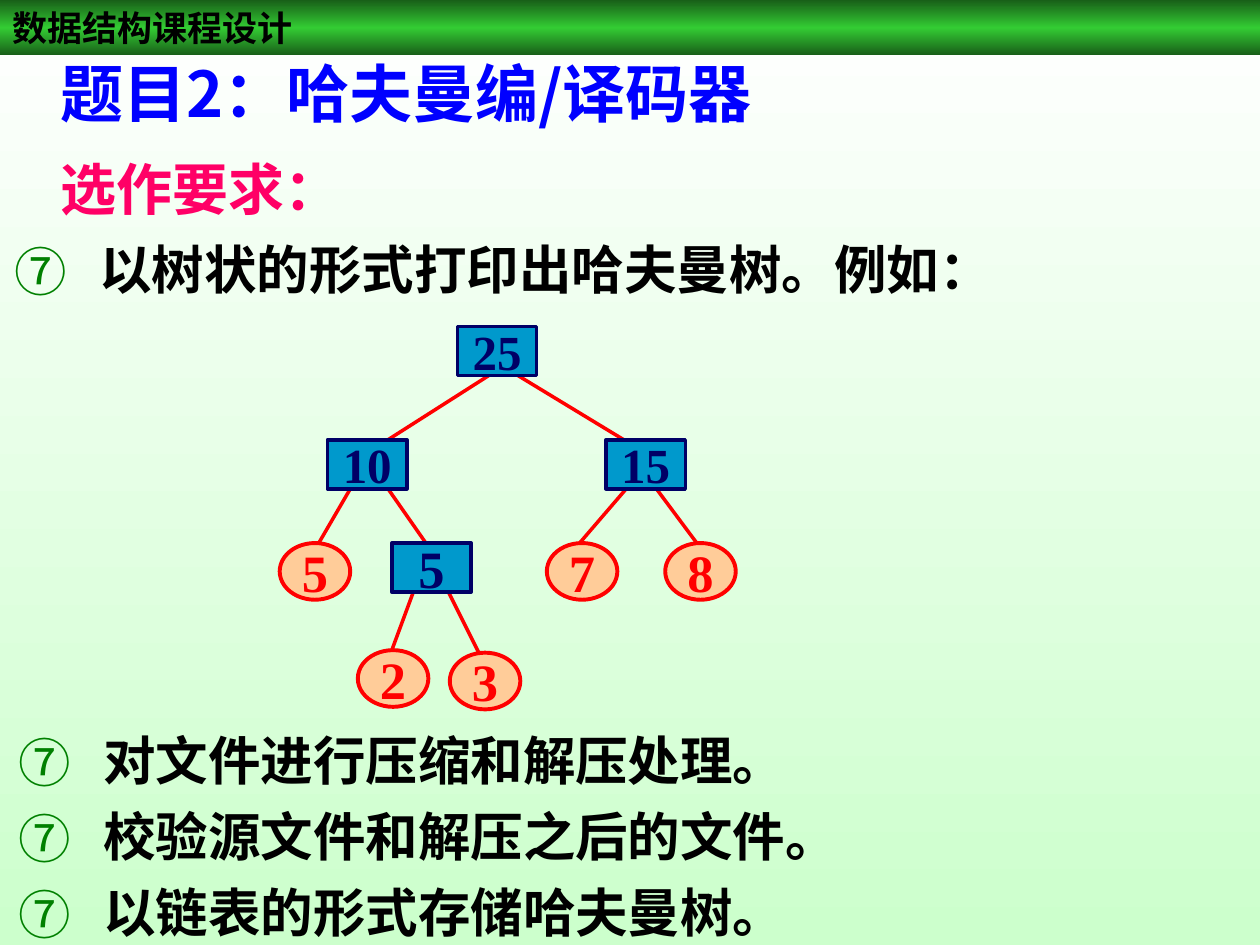
from copy import deepcopy

from lxml import etree
from pptx import Presentation
from pptx.dml.color import RGBColor
from pptx.enum.shapes import MSO_CONNECTOR, MSO_SHAPE
from pptx.enum.text import MSO_ANCHOR, MSO_AUTO_SIZE, PP_ALIGN
from pptx.oxml.ns import qn
from pptx.util import Inches, Pt

RECTANGLE, ELLIPSE = MSO_SHAPE.RECTANGLE, MSO_SHAPE.OVAL
STRAIGHT = MSO_CONNECTOR.STRAIGHT
LEFT, CENTER = PP_ALIGN.LEFT, PP_ALIGN.CENTER
MIDDLE = MSO_ANCHOR.MIDDLE
GROW = MSO_AUTO_SIZE.SHAPE_TO_FIT_TEXT
CJK, SERIF, SANS = "Noto Sans CJK SC", "Times New Roman", "Arial"

HEADER = "数据结构课程设计"
TITLE = "题目2：哈夫曼编/译码器"
SUBTITLE = "选作要求："
BULLET_BOXES = [
    ((0.02, 1.78, 9.75, 0.65), ["以树状的形式打印出哈夫曼树。例如："]),
    ((0.05, 5.68, 9.75, 1.86), [
        "对文件进行压缩和解压处理。",
        "校验源文件和解压之后的文件。",
        "以链表的形式存储哈夫曼树。",
    ]),
]
BRANCHES = {
    "root": ("25", 3.63, 2.59, 28),
    "ten": ("10", 2.6, 3.49, 28),
    "fifteen": ("15", 4.81, 3.49, 28),
    "five": ("5", 3.11, 4.31, 30),
}
LEAVES = {
    "leaf 5": ("5", 2.22, 4.31, 30),
    "leaf 7": ("7", 4.34, 4.31, 30),
    "leaf 8": ("8", 5.28, 4.31, 30),
    "leaf 2": ("2", 2.84, 5.16, 30),
    "leaf 3": ("3", 3.57, 5.18, 30),
}
EDGES = [
    ("root", 3.88, "ten", 3.08),
    ("root", 4.11, "fifteen", 4.95),
    ("ten", 2.78, "leaf 5", 2.53),
    ("ten", 3.08, "five", 3.38),
    ("fifteen", 4.97, "leaf 7", 4.6),
    ("fifteen", 5.21, "leaf 8", 5.53),
    ("five", 3.28, "leaf 2", 3.11),
    ("five", 3.56, "leaf 3", 3.8),
]
BRANCH_SIZE, LEAF_SIZE = (0.63, 0.39), (0.56, 0.45)


def color(value):
    return RGBColor.from_string(value)


def inches(values):
    return [Inches(value) for value in values]


def fill_gradient(fill, element, colors):
    fill.gradient()
    fill.gradient_angle = 270
    stop_list = next(element.iter(qn("a:gsLst")))
    while len(stop_list) < len(colors):
        stop_list.append(deepcopy(stop_list[-1]))
    for index, (stop, value) in enumerate(zip(fill.gradient_stops, colors)):
        stop.position = index / (len(colors) - 1)
        stop.color.rgb = color(value)


def format_text(shape, lines, size, font, value, alignment=LEFT, space=0):
    frame = shape.text_frame
    frame.text = "\n".join(lines)
    for paragraph in frame.paragraphs:
        paragraph.alignment = alignment
        paragraph.space_before = Pt(space)
        for run in paragraph.runs:
            run.font.size = Pt(size)
            run.font.bold = True
            run.font.name = font
            run.font.color.rgb = color(value)
            east_asian = etree.SubElement(run.font._element, qn("a:ea"))
            east_asian.set("typeface", CJK)


def add_text_box(slide, box, *text_format, space):
    shape = slide.shapes.add_textbox(*inches(box))
    format_text(shape, *text_format, space=space)
    shape.text_frame.word_wrap = True
    shape.text_frame.auto_size = GROW
    return shape


def add_bullet(paragraph):
    paragraph.line_spacing = 1.1
    properties = paragraph._p.get_or_add_pPr()
    properties.set("marL", str(Inches(0.67)))
    properties.set("indent", str(-Inches(0.67)))
    bullet_color = etree.SubElement(properties, qn("a:buClr"))
    etree.SubElement(bullet_color, qn("a:srgbClr")).set("val", "008000")
    etree.SubElement(properties, qn("a:buFont")).set("typeface", CJK)
    etree.SubElement(properties, qn("a:buChar")).set("char", "⑦")


def add_node(slide, kind, node, node_size, fill, ink, width):
    text, left, top, size = node
    shape = slide.shapes.add_shape(kind, *inches((left, top, *node_size)))
    shape.shadow.inherit = False
    shape.fill.solid()
    shape.fill.fore_color.rgb = color(fill)
    shape.line.color.rgb = color(ink)
    shape.line.width = Pt(width)
    format_text(shape, [text], size, SERIF, ink, CENTER)
    shape.text_frame.vertical_anchor = MIDDLE
    shape.text_frame.word_wrap = kind == RECTANGLE


def add_edge(slide, parent, start, child, end):
    top = BRANCHES[parent][2] + BRANCH_SIZE[1]
    bottom = {**BRANCHES, **LEAVES}[child][2]
    line = slide.shapes.add_connector(STRAIGHT, *inches((start, top, end, bottom)))
    line.line.color.rgb = color("FF0000")
    line.line.width = Pt(2)
    etree.SubElement(line._element.spPr, qn("a:effectLst"))


def add_header(slide):
    header = slide.shapes.add_shape(RECTANGLE, *inches((0, 0, 10, 0.44)))
    header.shadow.inherit = False
    header.line.fill.background()
    fill_gradient(header.fill, header._element, ["185E18", "33CC33", "185E18"])
    format_text(header, [HEADER], 20, SERIF, "000000")
    header.text_frame.vertical_anchor = MIDDLE


def format_title(title):
    title.left, title.top, title.width, title.height = inches((0.38, 0.38, 9.7, 0.7))
    format_text(title, [TITLE], 36, CJK, "0000FF", space=9)
    title.text_frame.vertical_anchor = MIDDLE
    title.text_frame.auto_size = GROW


def main():
    presentation = Presentation()
    presentation.slide_width, presentation.slide_height = inches((10, 7.5))
    slide = presentation.slides.add_slide(presentation.slide_layouts[5])
    fill_gradient(slide.background.fill, slide._element, ["FFFFFF", "CCFFCC"])
    add_header(slide)
    format_title(slide.shapes.title)
    add_text_box(slide, (0.38, 1.18, 3.93, 0.64), [SUBTITLE], 32, SANS, "FF0066", space=8)
    for box, lines in BULLET_BOXES:
        shape = add_text_box(slide, box, lines, 30, CJK, "000000", space=3.7)
        for paragraph in shape.text_frame.paragraphs:
            add_bullet(paragraph)
    for node in LEAVES.values():
        add_node(slide, ELLIPSE, node, LEAF_SIZE, "FFCC99", "FF0000", 2.25)
    for edge in EDGES:
        add_edge(slide, *edge)
    for node in BRANCHES.values():
        add_node(slide, RECTANGLE, node, BRANCH_SIZE, "0099CC", "000066", 2)
    presentation.save("out.pptx")


if __name__ == "__main__":
    main()
